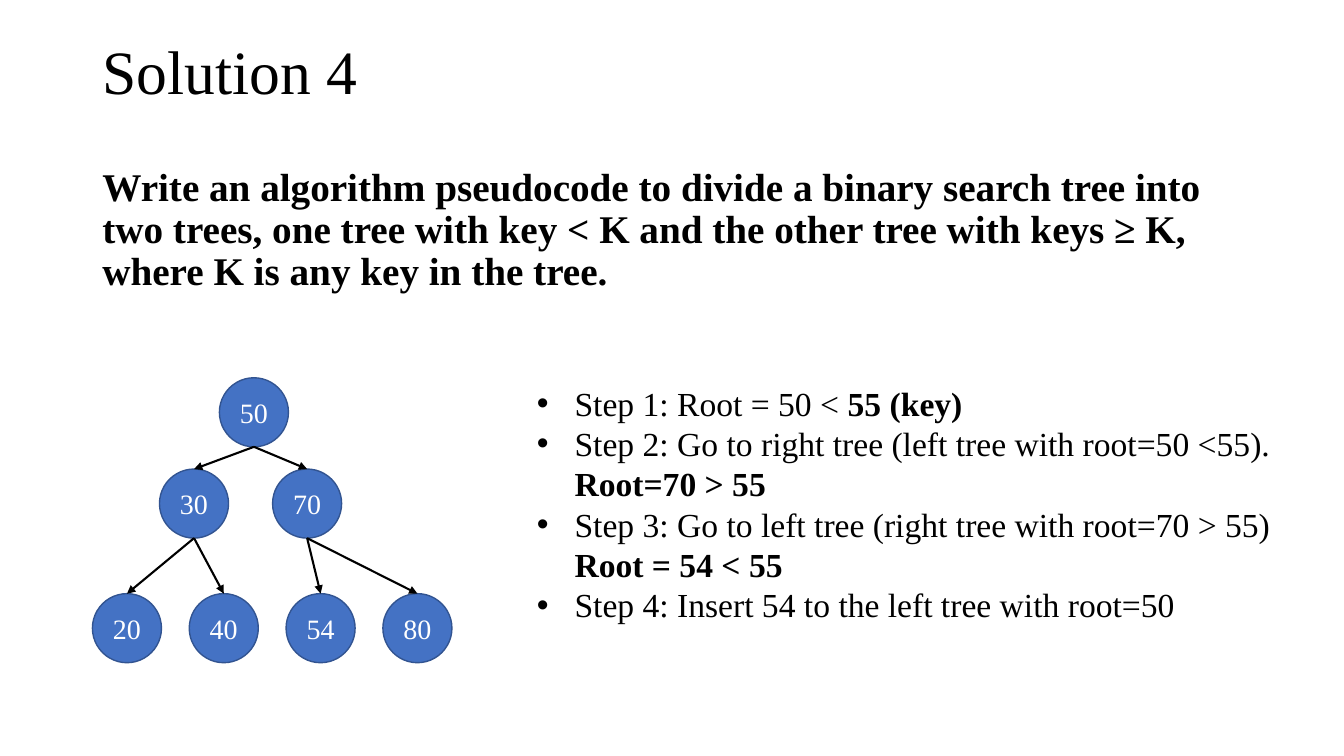
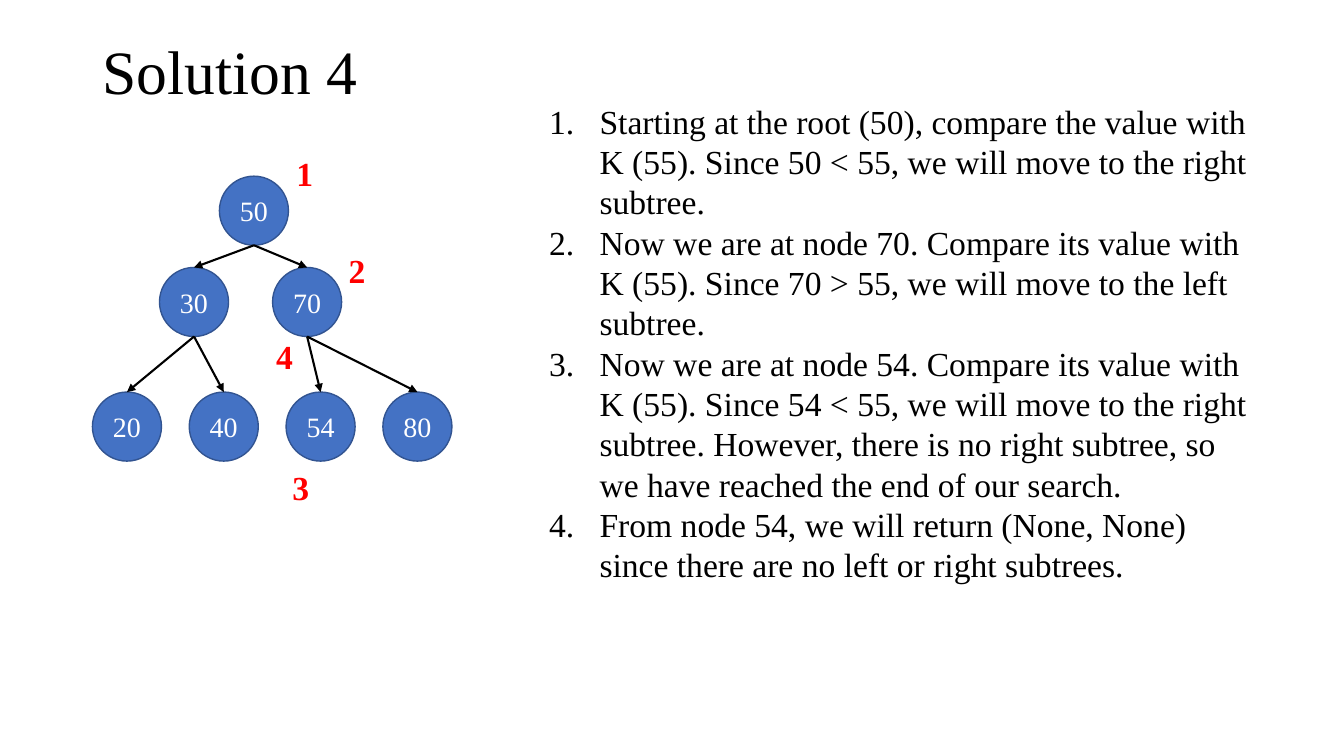
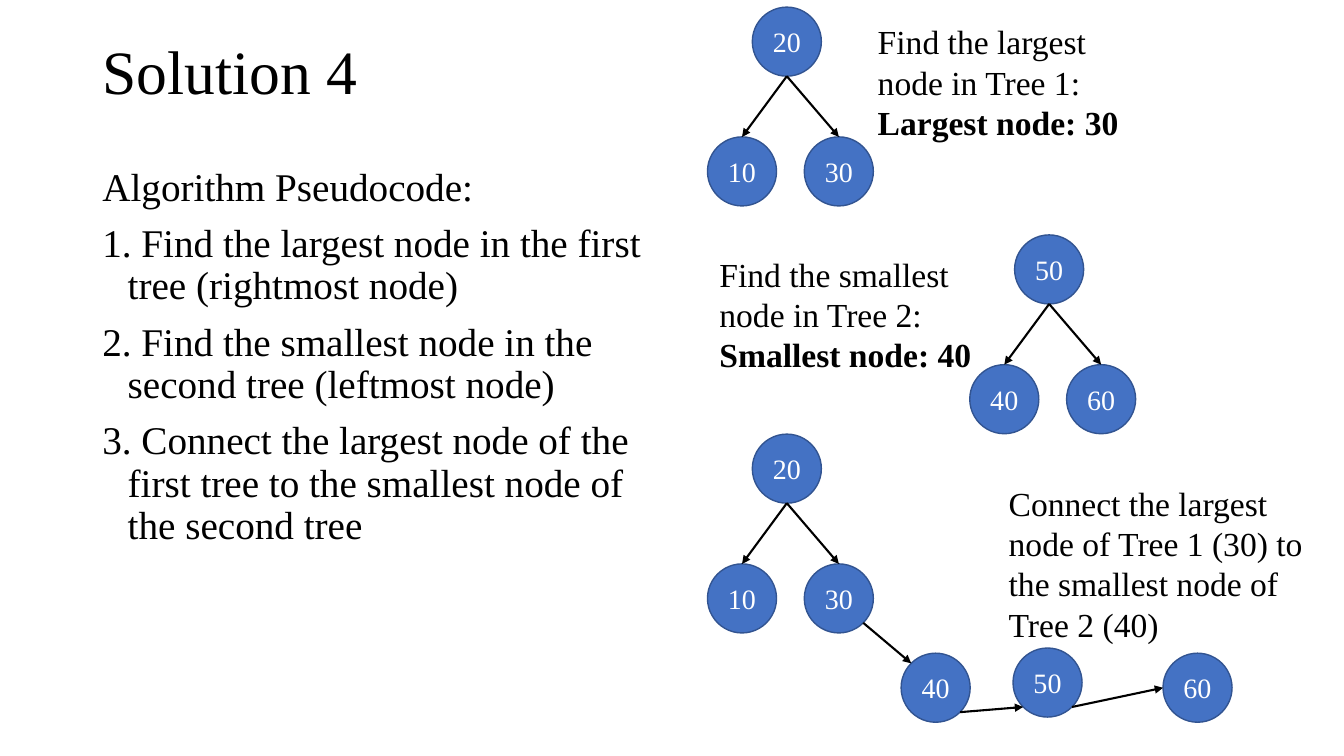
from math import cos, radians, sin

from lxml.etree import SubElement
from pptx import Presentation
from pptx.dml.color import RGBColor
from pptx.enum.shapes import MSO_CONNECTOR, MSO_SHAPE
from pptx.enum.text import MSO_ANCHOR, MSO_AUTO_SIZE, PP_ALIGN
from pptx.oxml.ns import qn
from pptx.util import Cm, Pt

FONT = "Times New Roman"
BLACK = RGBColor(0x00, 0x00, 0x00)
WHITE = RGBColor(0xFF, 0xFF, 0xFF)
RED = RGBColor(0xFF, 0x00, 0x00)
NODE_FILL = RGBColor(0x44, 0x72, 0xC4)
NODE_EDGE = RGBColor(0x32, 0x54, 0x91)

# Lengths are in centimetres.
SLIDE_SIZE = (33.87, 19.05)
TITLE_BOX = (2.33, 0.05, 29.21, 3.68)
NODE = 1.74
LEAF_STEP = 2.44
BULLET, NUMBER = "•", "arabicPeriod"
LINE_BREAK = ("\n", False)
TOP, BOTTOM, RIGHT, LEFT = 90, 270, 0, 180
TOP_LEFT, BOTTOM_LEFT, BOTTOM_RIGHT = 135, 225, 315

# Node value: offset of its circle from the corner of the tree.
SEARCH_TREE = {
    "50": (3.2, 0), "30": (1.69, 2.3), "70": (4.54, 2.3),
    **{leaf: (i * LEAF_STEP, 5.44) for i, leaf in enumerate(("20", "40", "54", "80"))},
}
SEARCH_EDGES = [("50", "30"), ("50", "70"), ("30", "20"),
                ("30", "40"), ("70", "54"), ("70", "80")]
VISITS = {"1": (4.88, -0.71), "2": (6.2, 1.73), "3": (4.78, 7.19), "4": (4.37, 3.91)}
CHAIN = {"40": (4.88, 5.52), "50": (7.7, 5.39), "60": (11.48, 5.52)}
CHAIN_EDGES = [("30", BOTTOM_RIGHT, "40", TOP_LEFT),
               ("40", BOTTOM_RIGHT, "50", BOTTOM_LEFT),
               ("50", BOTTOM_RIGHT, "60", LEFT)]


def plain(text):
    return [(text, False)]


def bold(text):
    return [(text, True)]


def add_runs(paragraph, runs, size, color):
    for text, is_bold in runs:
        if text == "\n":
            paragraph.add_line_break()
            continue
        run = paragraph.add_run()
        run.text = text
        run.font.name = FONT
        run.font.size = Pt(size)
        run.font.bold = is_bold
        run.font.color.rgb = color


def set_marker(paragraph, marker, indent):
    """Give a paragraph a hanging bullet or automatic number."""
    properties = paragraph._p.get_or_add_pPr()
    properties.set("marL", str(Cm(indent)))
    properties.set("indent", str(-Cm(indent)))
    if marker == BULLET:
        SubElement(properties, qn("a:buFont"), typeface="Arial")
        SubElement(properties, qn("a:buChar"), char=marker)
    else:
        SubElement(properties, qn("a:buFont"), typeface=FONT)
        SubElement(properties, qn("a:buAutoNum"), type=marker)


def add_text(slide, box, paragraphs, size=24, color=BLACK, marker=None, indent=0,
             spacing=None, before=None, unmarked=0, grow=True):
    """Write paragraphs in a box; the first `unmarked` ones get no list marker."""
    frame = slide.shapes.add_textbox(*map(Cm, box)).text_frame
    frame.word_wrap = True
    frame.auto_size = MSO_AUTO_SIZE.SHAPE_TO_FIT_TEXT if grow else MSO_AUTO_SIZE.NONE
    for i, runs in enumerate(paragraphs):
        paragraph = frame.add_paragraph() if i else frame.paragraphs[0]
        paragraph.line_spacing = spacing
        paragraph.space_before = before
        if marker and i >= unmarked:
            set_marker(paragraph, marker, indent)
        add_runs(paragraph, runs, size, color)
    return frame


def add_title(slide, text):
    frame = add_text(slide, TITLE_BOX, [plain(text)], size=44, spacing=0.9, grow=False)
    frame.vertical_anchor = MSO_ANCHOR.MIDDLE


def add_body(slide, width, paragraphs, **list_style):
    add_text(slide, (2.33, 4.09, width, 13.06), paragraphs, size=28,
             spacing=0.9, before=Pt(10), grow=False, **list_style)


def add_node(slide, left, top, value):
    node = slide.shapes.add_shape(MSO_SHAPE.OVAL, Cm(left), Cm(top), Cm(NODE), Cm(NODE))
    node.shadow.inherit = False
    node.fill.solid()
    node.fill.fore_color.rgb = NODE_FILL
    node.line.color.rgb = NODE_EDGE
    node.line.width = Pt(1)
    frame = node.text_frame
    frame.margin_left = frame.margin_right = frame.margin_top = frame.margin_bottom = 0
    frame.vertical_anchor = MSO_ANCHOR.MIDDLE
    frame.paragraphs[0].alignment = PP_ALIGN.CENTER
    add_runs(frame.paragraphs[0], plain(value), 20, WHITE)


def rim_point(corner, angle):
    """Point on a node's rim, counted anticlockwise from its right side."""
    radius = NODE / 2
    return (Cm(corner[0] + radius + radius * cos(radians(angle))),
            Cm(corner[1] + radius - radius * sin(radians(angle))))


def add_arrow(slide, start, end):
    arrow = slide.shapes.add_connector(MSO_CONNECTOR.STRAIGHT, *start, *end)
    arrow.line.color.rgb = BLACK
    arrow.line.width = Pt(1.5)
    SubElement(arrow.line._get_or_add_ln(), qn("a:tailEnd"), type="triangle")
    SubElement(arrow._element.spPr, qn("a:effectLst"))


def add_graph(slide, left, top, nodes, edges):
    """Draw nodes at offsets from a corner, and edges (from, angle, to, angle)."""
    corners = {value: (left + x, top + y) for value, (x, y) in nodes.items()}
    for value, corner in corners.items():
        add_node(slide, *corner, value)
    for parent, leave, child, arrive in edges:
        add_arrow(slide, rim_point(corners[parent], leave),
                  rim_point(corners[child], arrive))


def downward(edges):
    return [(parent, BOTTOM, child, TOP) for parent, child in edges]


def add_search_tree(slide, left, top):
    add_graph(slide, left, top, SEARCH_TREE, downward(SEARCH_EDGES))


def add_small_tree(slide, left, top, root, low, high, chain=None, chain_edges=()):
    """Draw a root with two children, and a chain that may follow them."""
    nodes = {root: (1.13, 0), high: (LEAF_STEP, 3.27), low: (0, 3.27), **(chain or {})}
    edges = downward([(root, low), (root, high)]) + list(chain_edges)
    add_graph(slide, left, top, nodes, edges)


def add_visit_marks(slide, left, top):
    for label, (x, y) in VISITS.items():
        frame = add_text(slide, (left + x, top + y, 0.94, 1.27), [bold(label)], color=RED)
        frame.word_wrap = False
        frame.paragraphs[0].alignment = PP_ALIGN.CENTER


def build_task(slide):
    add_body(slide, 29.21, [bold(
        "Write an algorithm pseudocode to divide a binary search tree into two trees, "
        "one tree with key < K and the other tree with keys ≥ K, "
        "where K is any key in the tree.")])
    add_search_tree(slide, 2.33, 9.52)
    add_text(slide, (13.28, 9.52, 19.48, 6.4), [
        plain("Step 1: Root = 50 < ") + bold("55 (key)"),
        plain("Step 2: Go to right tree (left tree with root=50 <55). ")
        + [LINE_BREAK] + bold("Root=70 > 55"),
        plain("Step 3: Go to left tree (right tree with root=70 > 55)")
        + [LINE_BREAK] + bold("Root = 54 < 55"),
        plain("Step 4: Insert 54 to the left tree with root=50"),
    ], marker=BULLET, indent=0.95)


def build_search(slide):
    corner = (2.33, 4.44)
    add_search_tree(slide, *corner)
    add_text(slide, (13.59, 2.41, 18.42, 12.57), [
        plain("Starting at the root (50), compare the value with K (55). "
              "Since 50 < 55, we will move to the right subtree."),
        plain("Now we are at node 70. Compare its value with K (55). "
              "Since 70 > 55, we will move to the left subtree."),
        plain("Now we are at node 54. Compare its value with K (55). "
              "Since 54 < 55, we will move to the right subtree. However, there is "
              "no right subtree, so we have reached the end of our search."),
        plain("From node 54, we will return (None, None) "
              "since there are no left or right subtrees."),
    ], marker=NUMBER, indent=1.27)
    add_visit_marks(slide, *corner)


def build_joining(slide):
    add_body(slide, 14.12, [
        plain("Algorithm Pseudocode:"),
        plain(" Find the largest node in the first tree (rightmost node)"),
        plain(" Find the smallest node in the second tree (leftmost node)"),
        plain(" Connect the largest node of the first tree "
              "to the smallest node of the second tree"),
    ], marker=NUMBER, indent=0.64, unmarked=1)
    add_small_tree(slide, 17.83, 0.18, "20", "10", "30")
    add_small_tree(slide, 24.44, 5.92, "50", "40", "60")
    add_small_tree(slide, 17.83, 10.94, "20", "10", "30", CHAIN, CHAIN_EDGES)
    add_text(slide, (21.87, 0.41, 6.86, 3.33),
             [plain("Find the largest node in Tree 1:"), bold("Largest node: 30")])
    add_text(slide, (17.88, 6.27, 7.54, 3.33),
             [plain("Find the smallest node in Tree 2:"), bold("Smallest node: 40")])
    add_text(slide, (25.17, 12.04, 8.36, 4.37),
             [plain("Connect the largest node of Tree 1 (30) "
                    "to the smallest node of Tree 2 (40)")])


def main():
    deck = Presentation()
    deck.slide_width, deck.slide_height = map(Cm, SLIDE_SIZE)
    blank = deck.slide_layouts[6]
    for build in (build_task, build_search, build_joining):
        slide = deck.slides.add_slide(blank)
        add_title(slide, "Solution 4")
        build(slide)
    deck.save("out.pptx")


if __name__ == "__main__":
    main()
